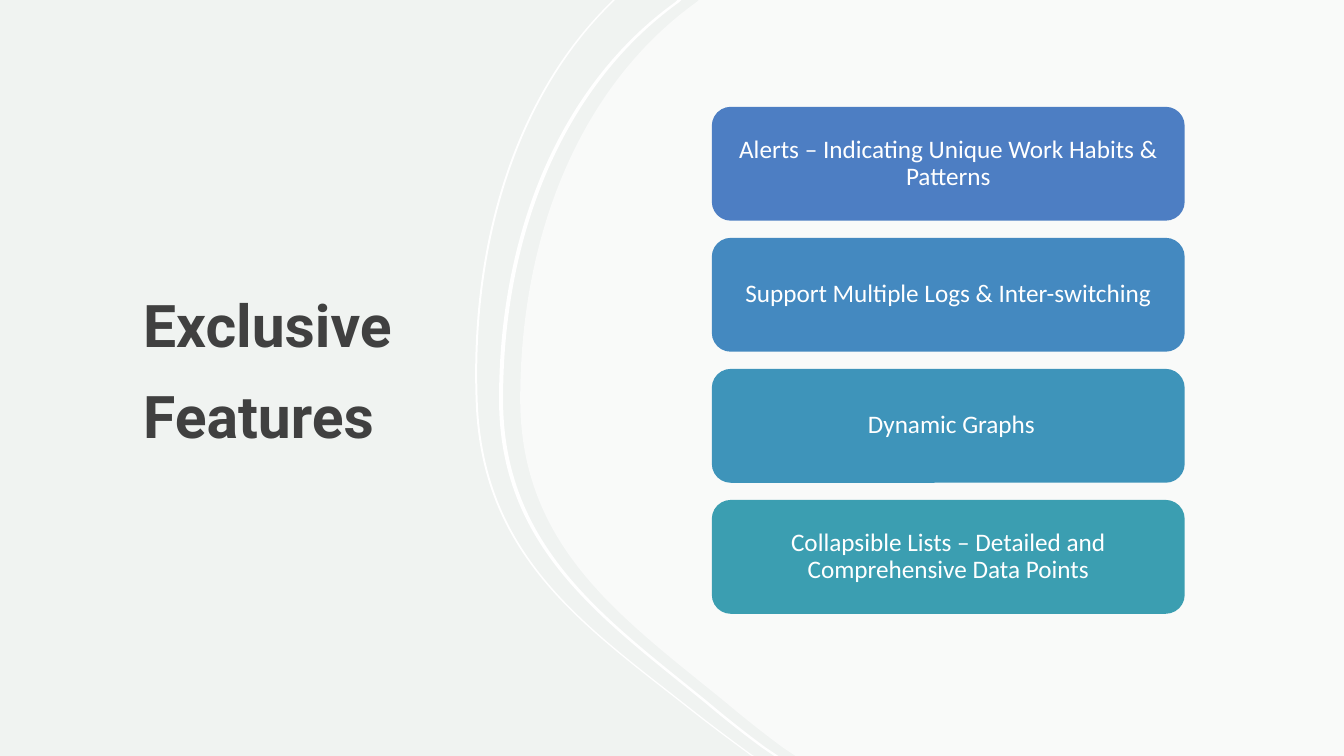
"""Builds the Exclusive Features slide with its curved panel and four feature cards."""
from lxml import etree
from pptx import Presentation
from pptx.dml.color import RGBColor
from pptx.enum import shapes, text
from pptx.oxml.ns import qn
from pptx.util import Inches, Pt

COLORS = {"background": "F0F3F1", "title": "404040", "white": "FFFFFF"}
FEATURES = [
    ("Alerts – Indicating Unique Work Habits & Patterns", "4D7EC3"),
    ("Support Multiple Logs & Inter-switching", "4489C0"),
    ("Dynamic Graphs ", "3E94BA"),
    ("Collapsible Lists – Detailed and Comprehensive Data Points", "3B9EB1"),
]
INNER_EDGE = [(6.72, 0), (6.7, 0.02), (5.57, 0.83), (4.95, 2.29), (4.95, 3.96),
              (4.95, 5.43), (5.96, 6.13), (6.99, 6.97),
              (7.18, 7.13), (7.37, 7.28), (7.56, 7.42), (7.68, 7.5)]
OUTER_EDGE = [(6.08, 0), (6.05, 0.03), (5.12, 0.94), (4.65, 2.4), (4.72, 4.02),
              (4.79, 5.55), (5.82, 6.23), (6.87, 7.06),
              (7.06, 7.21), (7.25, 7.35), (7.44, 7.49), (7.46, 7.5)]


def segments(edge, shift, backward=False):
    """Split an edge, moved right by shift, into point, line, three curves and line."""
    points = [(Inches(x + shift), Inches(y)) for x, y in edge]
    if backward:
        points.reverse()
    return [points[:1], points[1:2], points[2:5], points[5:8], points[8:11], points[11:]]


def write(frame, words, font, size, color, spacing, bold=False):
    """Add one wrapped, vertically centred paragraph and return it."""
    frame.word_wrap = True
    frame.vertical_anchor = text.MSO_ANCHOR.MIDDLE
    paragraph = frame.paragraphs[0]
    paragraph.line_spacing = spacing
    run = paragraph.add_run()
    run.text = words
    run.font.name = font
    run.font.size = Pt(size)
    run.font.bold = bold
    run.font.color.rgb = RGBColor.from_string(color)
    return paragraph


deck = Presentation()
deck.slide_width = Inches(13.33)
deck.slide_height = Inches(7.5)
slide = deck.slides.add_slide(deck.slide_layouts[6])
slide.background.fill.solid()
slide.background.fill.fore_color.rgb = RGBColor.from_string(COLORS["background"])

title = slide.shapes.add_textbox(Inches(1.3), Inches(1.21), Inches(3.3), Inches(4.68)).text_frame
title.margin_left = title.margin_top = title.margin_right = Inches(0.12)
title.margin_bottom = Inches(0.1)
write(title, "Exclusive Features", "Roboto", 42, COLORS["title"], 1.3, bold=True)

slide_side = [[(deck.slide_width, deck.slide_height)], [(deck.slide_width, 0)]]
panel = segments(INNER_EDGE, 0.21) + slide_side
thin_band = segments(OUTER_EDGE, 0) + segments(OUTER_EDGE, 0.02, backward=True)
thick_band = segments(INNER_EDGE, 0) + segments(INNER_EDGE, 0.04, backward=True)
for outline, opacity in ((panel, 60), (thin_band, 100), (thick_band, 100)):
    ends = [segment[-1] for segment in outline]
    builder = slide.shapes.build_freeform(*ends[0])
    builder.add_line_segments(ends[1:], close=False)
    curve = builder.convert_to_shape()
    curve.shadow.inherit = False
    curve.fill.solid()
    curve.fill.fore_color.rgb = RGBColor.from_string(COLORS["white"])
    curve.line.fill.background()
    if opacity < 100:
        white = curve.fill._xPr.find(qn("a:solidFill"))[0]
        etree.SubElement(white, qn("a:alpha"), val=str(opacity * 1000))
    contour = next(curve._element.iter(qn("a:path")))
    for straight, segment in zip(list(contour), outline):
        if len(segment) == 3:
            bend = etree.Element(qn("a:cubicBezTo"))
            for x, y in segment:
                etree.SubElement(bend, qn("a:pt"), x=str(x - curve.left), y=str(y - curve.top))
            contour.replace(straight, bend)
    etree.SubElement(contour, qn("a:close"))

for row, (feature, color) in enumerate(FEATURES):
    card = slide.shapes.add_shape(shapes.MSO_SHAPE.ROUNDED_RECTANGLE, Inches(7.06),
                                  Inches(1.06 + 1.3 * row), Inches(4.69), Inches(1.13))
    card.shadow.inherit = False
    card.fill.solid()
    card.fill.fore_color.rgb = RGBColor.from_string(color)
    card.line.fill.background()
    label = card.text_frame
    label.margin_left = label.margin_right = Inches(0.07)
    label.margin_top = label.margin_bottom = Inches(0.07)
    line = write(label, feature, "Calibri", 18, COLORS["white"], 0.9)
    line.alignment = text.PP_ALIGN.CENTER
    line._p.get_or_add_pPr().set("rtl", "1")

deck.save("out.pptx")
